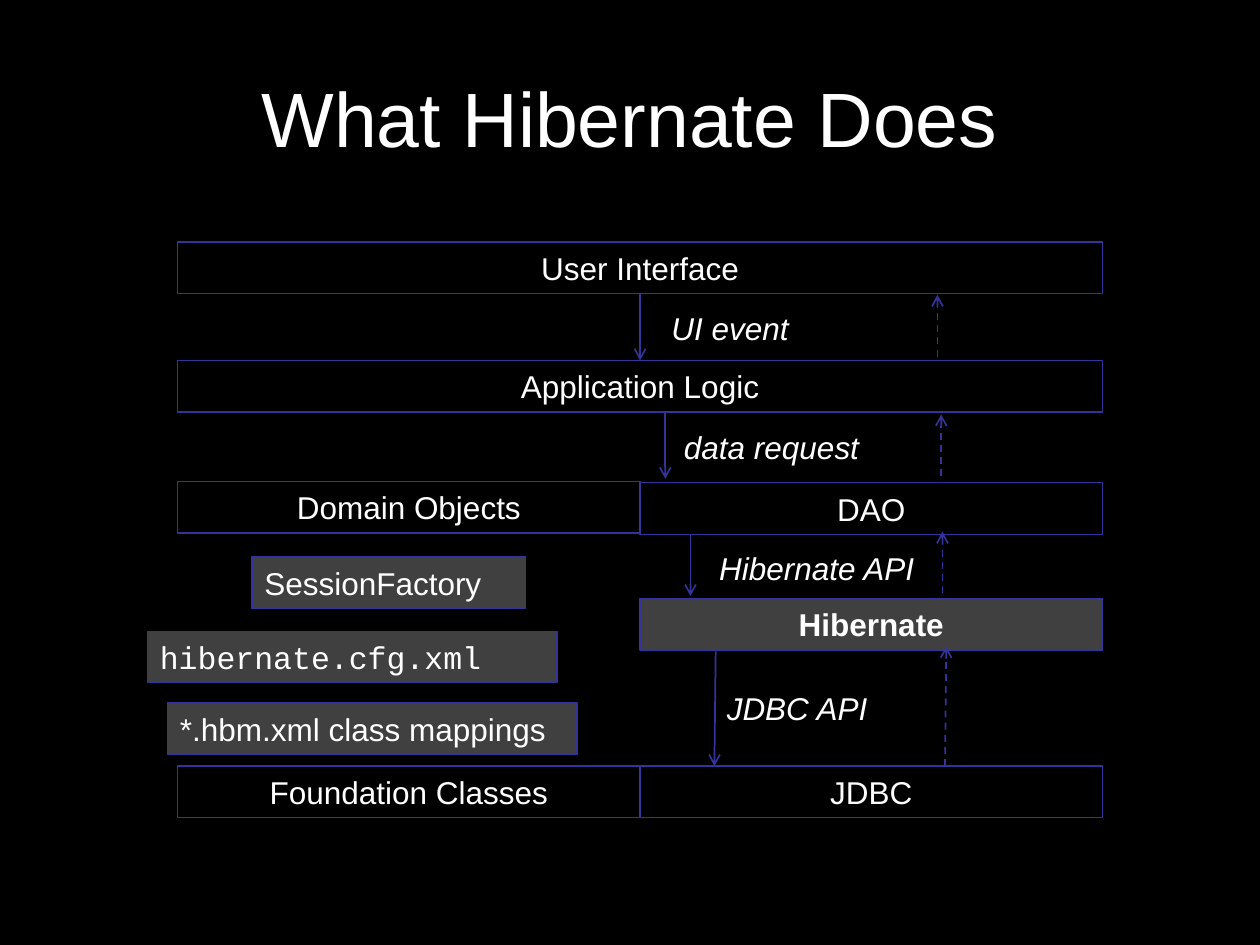
from pptx import Presentation
from pptx.dml.color import RGBColor
from pptx.enum.dml import MSO_LINE
from pptx.enum.shapes import MSO_CONNECTOR, MSO_SHAPE
from pptx.enum.text import MSO_ANCHOR, PP_ALIGN
from pptx.oxml.ns import qn
from pptx.util import Inches, Pt
from lxml.etree import SubElement

BLACK, WHITE, GREY, BLUE = "000000", "FFFFFF", "404040", "333399"


def rgb(value):
    return RGBColor.from_string(value)


def write(holder, text, size=18, font="Arial", align=PP_ALIGN.LEFT,
          bold=False, italic=False):
    frame = holder.text_frame
    frame.word_wrap = True
    frame.vertical_anchor = MSO_ANCHOR.MIDDLE
    paragraph = frame.paragraphs[0]
    paragraph.alignment = align
    run = paragraph.add_run()
    run.text = text
    run.font.size = Pt(size)
    run.font.name = font
    run.font.bold = bold
    run.font.italic = italic
    run.font.color.rgb = rgb(WHITE)


prs = Presentation()
prs.slide_width, prs.slide_height = Inches(10), Inches(7.5)
slide = prs.slides.add_slide(prs.slide_layouts[6])
slide.background.fill.solid()
slide.background.fill.fore_color.rgb = rgb(BLACK)

# Title
title = slide.shapes.add_textbox(Inches(0.5), Inches(0.3), Inches(9), Inches(1.25))
write(title, "What Hibernate Does", size=44, align=PP_ALIGN.CENTER)

# Layers of the stack, and the Hibernate configuration beside it
LEFT, HALF, HEIGHT = 1.41, 3.67, 0.41
MIDDLE, FULL = LEFT + HALF, 2 * HALF
layer = {"align": PP_ALIGN.CENTER}
boxes = [
    ("User Interface", LEFT, 1.92, FULL, None, layer),
    ("Application Logic", LEFT, 2.86, FULL, None, layer),
    ("Domain Objects", LEFT, 3.82, HALF, None, layer),
    ("DAO", MIDDLE, 3.83, HALF, None, layer),
    ("Hibernate", MIDDLE, 4.75, HALF, GREY, {**layer, "bold": True}),
    ("JDBC", MIDDLE, 6.08, HALF, None, layer),
    ("Foundation Classes", LEFT, 6.08, HALF, None, layer),
    ("hibernate.cfg.xml", 1.17, 5.01, 3.25, GREY, {"font": "Courier New"}),
    ("*.hbm.xml class mappings", 1.33, 5.58, 3.25, GREY, {}),
    ("SessionFactory", 2, 4.42, 2.17, GREY, {}),
]
box_by_name = {}
for name, left, top, width, fill, style in boxes:
    box = slide.shapes.add_shape(MSO_SHAPE.RECTANGLE, Inches(left), Inches(top),
                                 Inches(width), Inches(HEIGHT))
    box.shadow.inherit = False
    if fill:
        box.fill.solid()
        box.fill.fore_color.rgb = rgb(fill)
    else:
        box.fill.background()
    box.line.color.rgb = rgb(BLUE)
    box.line.width = Pt(0.75)
    write(box, name, **style)
    box_by_name[name] = box

# Calls go down (solid), results come back up (dashed)
arrows = [
    (5.08, 2.33, 5.08, 2.86), (7.44, 2.83, 7.44, 2.34),
    (5.28, 3.28, 5.28, 3.8), (7.47, 3.78, 7.47, 3.29),
    (5.48, 4.24, 5.48, 4.73), (7.48, 4.71, 7.48, 4.22),
    (5.68, 5.17, 5.67, 6.08), (7.5, 6.08, 7.51, 5.13),
]
calls = []
for x1, y1, x2, y2 in arrows:
    arrow = slide.shapes.add_connector(MSO_CONNECTOR.STRAIGHT, Inches(x1), Inches(y1),
                                       Inches(x2), Inches(y2))
    arrow.line.color.rgb = rgb(BLUE)
    arrow.line.width = Pt(1)
    if y2 < y1:
        arrow.line.dash_style = MSO_LINE.DASH
    else:
        calls.append(arrow)
    SubElement(arrow.line._get_or_add_ln(), qn("a:tailEnd"), type="arrow")
    SubElement(arrow._element.spPr, qn("a:effectLst"))

# The UI event runs between the middles of the two top layers
calls[0].begin_connect(box_by_name["User Interface"], 2)
calls[0].end_connect(box_by_name["Application Logic"], 0)

# Names of the calls
for name, left, top, width in [
    ("UI event", 5.23, 2.4, 1.3),
    ("data request", 5.33, 3.35, 1.62),
    ("Hibernate API", 5.61, 4.31, 1.89),
    ("JDBC API", 5.67, 5.42, 1.7),
]:
    label = slide.shapes.add_textbox(Inches(left), Inches(top), Inches(width), Inches(0.4))
    write(label, name, italic=True)

prs.save("out.pptx")
